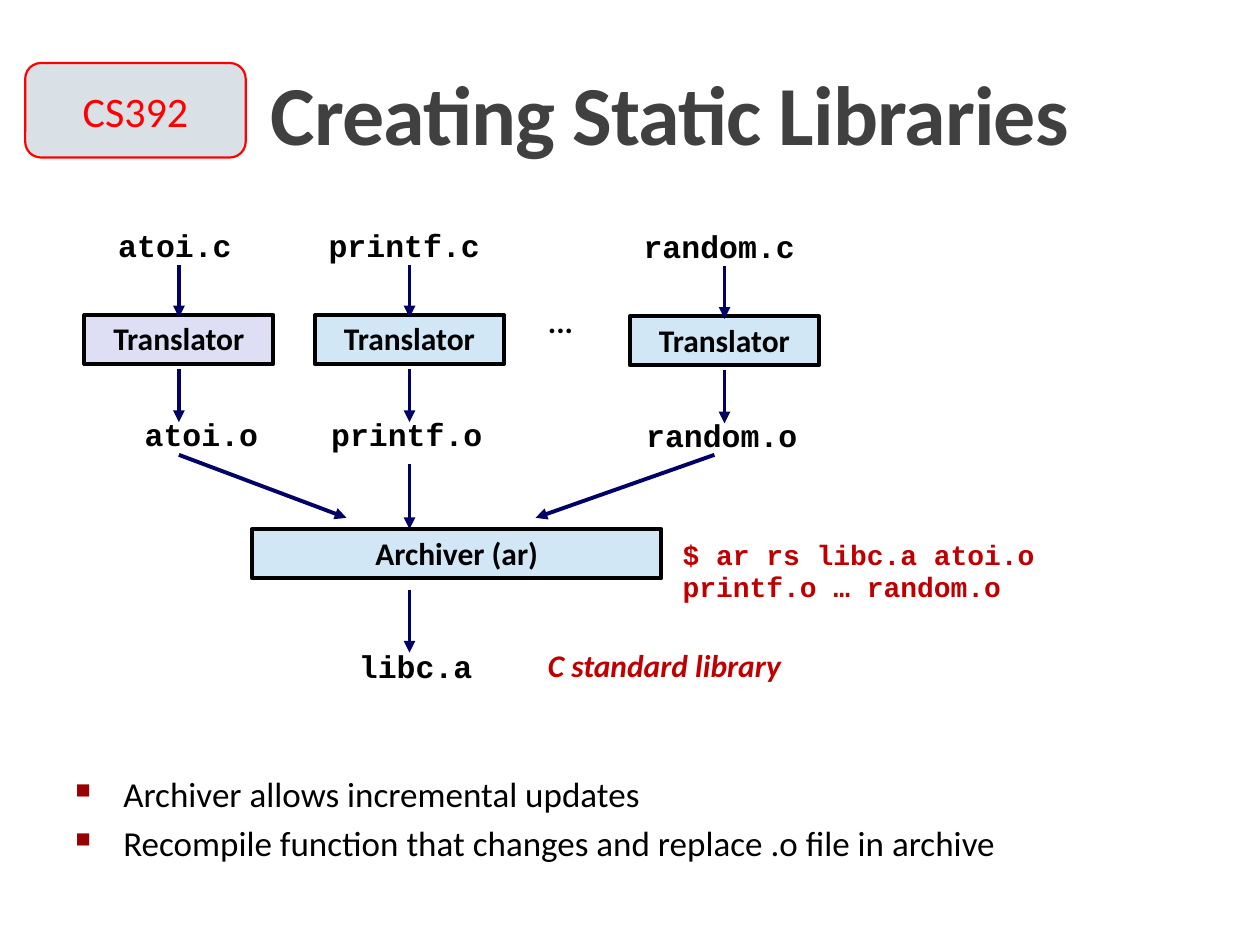
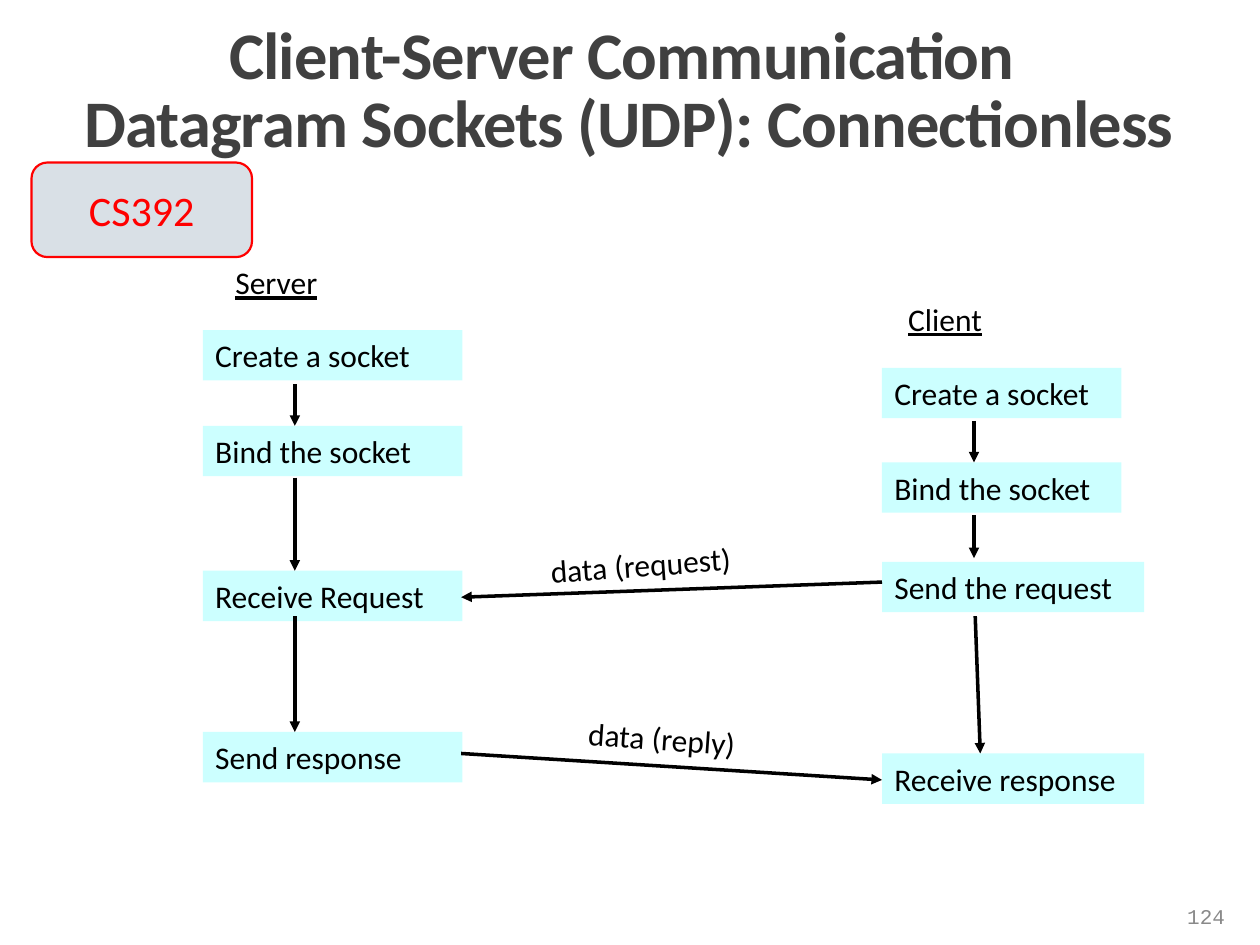
from lxml import etree
from pptx import Presentation
from pptx.dml.color import RGBColor
from pptx.enum.shapes import MSO_CONNECTOR as Connector, MSO_SHAPE as Shape
from pptx.enum.text import MSO_ANCHOR as Anchor, PP_ALIGN as Align
from pptx.oxml.ns import qn
from pptx.util import Inches, Pt

BLACK, NAVY, RED, DARK_RED = "000000", "000066", "FF0000", "C00000"
TITLE_GRAY, BADGE_GRAY, PAGE_GRAY = "404040", "D9E0E6", "898989"
LILAC, PALE_BLUE, CYAN, BULLET_RED = "DEDFF5", "D1E7F6", "CCFFFF", "990000"
SANS, MONO = "Calibri", "Courier New"

STATIC_TITLE = "Creating Static Libraries"
# Columns: module name, arrow centre, source centre, object centre, top shift, box fill
MODULES = [
    ("atoi", 1.42, 1.39, 1.6, 0, LILAC),
    ("printf", 3.25, 3.21, 3.23, 0, PALE_BLUE),
    ("random", 5.75, 5.71, 5.73, 0.01, PALE_BLUE),
]
ARCHIVE_ARROWS = [
    (1.42, 3.61, 2.75, 4.11),
    (3.25, 3.68, 3.25, 4.2),
    (5.67, 3.61, 4.25, 4.11),
    (3.25, 4.68, 3.25, 5.18),
]
COMMAND = "$ ar rs libc.a atoi.o printf.o … random.o"
BULLETS = [
    "Archiver allows incremental updates",
    "Recompile function that changes and replace .o file in archive",
]

UDP_TITLE = "Client-Server Communication \vDatagram Sockets (UDP): Connectionless"
ROLES = [
    ("Server", 1.77, 2.04, 1.61, [
        ("Create a socket", 2.62, 2.06),
        ("Bind the socket", 3.38, 2.06),
        ("Receive Request", 4.53, 2.06),
        ("Send response", 5.81, 2.06),
    ]),
    ("Client", 7.11, 2.33, 7, [
        ("Create a socket", 2.92, 1.9),
        ("Bind the socket", 3.67, 1.9),
        ("Send the request", 4.46, 2.08),
        ("Receive response", 5.98, 2.08),
    ]),
]
FLOW_ARROWS = [
    (2.34, 3.05, 2.34, 3.38),
    (2.34, 3.79, 2.34, 4.53),
    (2.34, 4.89, 2.34, 5.81),
    (7.73, 3.34, 7.73, 3.67),
    (7.73, 4.09, 7.73, 4.43),
    (7.74, 4.89, 7.78, 5.98),
    (7, 4.62, 3.66, 4.74),
    (3.66, 5.98, 7, 6.19),
]
MESSAGES = [
    ("data (request)", 4.27, 4.28, 1.66, -4.2),
    ("data (reply)", 4.57, 5.66, 1.39, 4.1),
]


def color(hex_string):
    return RGBColor.from_string(hex_string)


def write(shape, text, size=18, font=SANS, ink=BLACK, bold=False, italic=False,
          underline=False, align=Align.LEFT, anchor=Anchor.TOP, spacing=None, wrap=True):
    frame = shape.text_frame
    frame.text = text
    frame.word_wrap = wrap
    frame.vertical_anchor = anchor
    for paragraph in frame.paragraphs:
        paragraph.alignment = align
        paragraph.line_spacing = spacing
        for run in paragraph.runs:
            run.font.size = Pt(size)
            run.font.name = font
            run.font.bold = bold
            run.font.italic = italic
            run.font.underline = underline
            run.font.color.rgb = color(ink)
    return shape


def add_text(slide, text, left, top, width, height, **style):
    box = slide.shapes.add_textbox(Inches(left), Inches(top), Inches(width), Inches(height))
    return write(box, text, **style)


def add_box(slide, text, left, top, width, height, fill, line=None, line_width=2.25,
            kind=Shape.RECTANGLE, **style):
    shape = slide.shapes.add_shape(kind, Inches(left), Inches(top), Inches(width), Inches(height))
    shape.shadow.inherit = False
    shape.fill.solid()
    shape.fill.fore_color.rgb = color(fill)
    if line:
        shape.line.color.rgb = color(line)
        shape.line.width = Pt(line_width)
    else:
        shape.line.fill.background()
    return write(shape, text, **style)


def add_arrow(slide, ends, ink, width):
    arrow = slide.shapes.add_connector(Connector.STRAIGHT, *map(Inches, ends))
    arrow.line.color.rgb = color(ink)
    arrow.line.width = Pt(width)
    etree.SubElement(arrow.line._get_or_add_ln(), qn("a:tailEnd"), type="triangle")
    etree.SubElement(arrow._element.spPr, qn("a:effectLst"))


def add_title(slide, text, left, top, width, height, size):
    box = add_text(slide, text, left, top, width, height, size=size, ink=TITLE_GRAY, bold=True,
                   align=Align.CENTER, anchor=Anchor.BOTTOM, spacing=0.85)
    for run in box.text_frame.paragraphs[0].runs:
        run.font._element.set("spc", "-50")


def add_badge(slide, left, top):
    add_box(slide, "CS392", left, top, 1.75, 0.75, BADGE_GRAY, RED, 1.25,
            Shape.ROUNDED_RECTANGLE, size=24, ink=RED, align=Align.CENTER, anchor=Anchor.MIDDLE)


def add_file_name(slide, name, center, top):
    width = 0.15 * len(name) + 0.2
    add_text(slide, name, center - width / 2, top, width, 0.39, font=MONO, bold=True,
             spacing=0.94, wrap=False)


def add_tool(slide, name, left, top, width, fill):
    add_box(slide, name, left, top, width, 0.39, fill, BLACK, bold=True,
            align=Align.CENTER, spacing=0.98)


def add_bullets(slide, items, left, top, width, height):
    box = add_text(slide, "\n".join(items), left, top, width, height, size=20)
    for index, paragraph in enumerate(box.text_frame.paragraphs):
        if index:
            paragraph.space_before = Pt(4)
        properties = paragraph._p.get_or_add_pPr()
        properties.set("marL", str(Inches(0.38)))
        properties.set("indent", str(-Inches(0.38)))
        bullet_color = etree.SubElement(properties, qn("a:buClr"))
        etree.SubElement(bullet_color, qn("a:srgbClr"), val=BULLET_RED)
        etree.SubElement(properties, qn("a:buSzPct"), val="60000")
        etree.SubElement(properties, qn("a:buChar"), char="■")


def build_static_libraries(slide):
    add_title(slide, STATIC_TITLE, 0.55, 0.48, 9.53, 0.86, 48)
    for name, center, source_center, object_center, shift, fill in MODULES:
        add_file_name(slide, f"{name}.c", source_center, 1.77 + shift)
        add_tool(slide, "Translator", center - 0.75, 2.5 + shift, 1.5, fill)
        add_file_name(slide, f"{name}.o", object_center, 3.27 + shift)
        for top in (2.1 + shift, 2.93 + shift):
            add_arrow(slide, (center, top, center, top + 0.42), NAVY, 2.25)
    add_text(slide, "...", 4.25, 2.36, 0.48, 0.5, bold=True, spacing=0.98)
    add_tool(slide, "Archiver (ar)", 2, 4.2, 3.25, PALE_BLUE)
    for ends in ARCHIVE_ARROWS:
        add_arrow(slide, ends, NAVY, 2.25)
    add_file_name(slide, "libc.a", 3.3, 5.11)
    add_text(slide, COMMAND, 5.32, 4.24, 4.04, 0.61, size=16, font=MONO, ink=DARK_RED,
             bold=True, spacing=0.94)
    add_text(slide, "C standard library", 4.25, 5.09, 3.25, 0.4, ink=DARK_RED,
             bold=True, italic=True, spacing=0.98)
    add_bullets(slide, BULLETS, 0.5, 6.08, 9.09, 1.17)
    add_badge(slide, 0.2, 0.5)


def build_datagram_sockets(slide):
    add_title(slide, UDP_TITLE, 0.25, 0.08, 9.48, 1.25, 38)
    for role, label_left, label_top, left, steps in ROLES:
        add_text(slide, role, label_left, label_top, 1.2, 0.43, underline=True)
        for step, top, width in steps:
            add_box(slide, step, left, top, width, 0.4, CYAN)
    for ends in FLOW_ARROWS:
        add_arrow(slide, ends, BLACK, 2)
    for message, left, top, width, angle in MESSAGES:
        label = add_text(slide, message, left, top, width, 0.4, wrap=False)
        label.rotation = angle
    add_text(slide, "124", 8.74, 7.07, 1.08, 0.4, size=12, font=MONO, ink=PAGE_GRAY,
             align=Align.RIGHT, anchor=Anchor.MIDDLE)
    add_badge(slide, 0.25, 1.29)


def main():
    presentation = Presentation()
    presentation.slide_width = Inches(10)
    presentation.slide_height = Inches(7.5)
    for build in (build_static_libraries, build_datagram_sockets):
        build(presentation.slides.add_slide(presentation.slide_layouts[6]))
    presentation.save("out.pptx")


if __name__ == "__main__":
    main()
